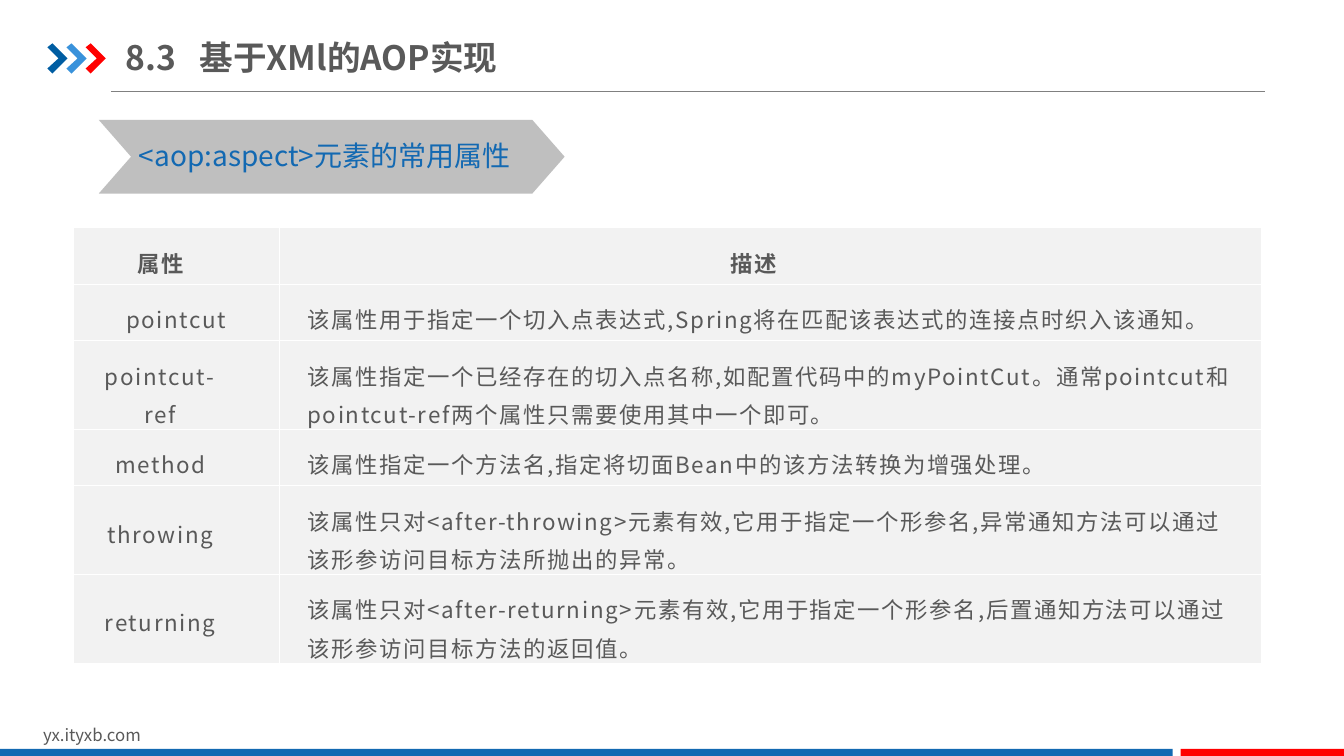
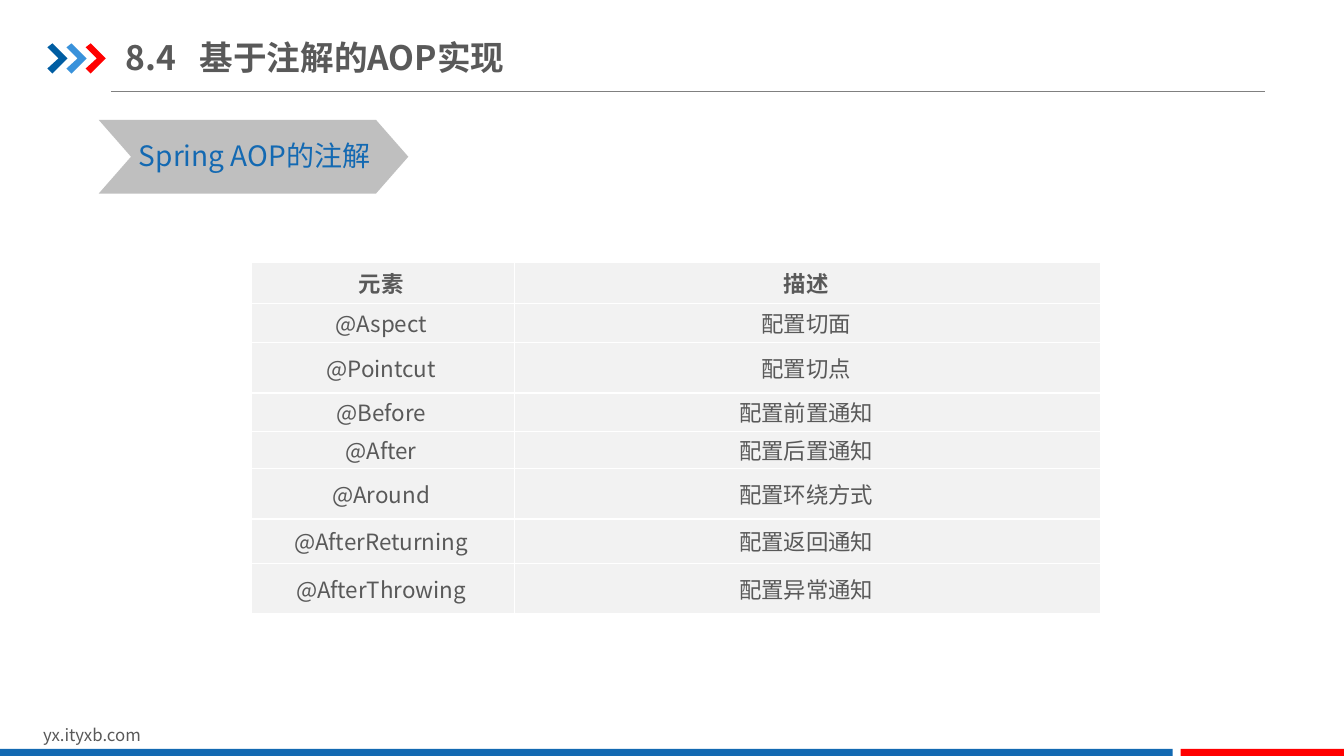
"""Build two slides on AOP attributes and annotations."""
import pptx
import pptx.dml.color
import pptx.enum.shapes
import pptx.enum.text
import pptx.oxml
import pptx.oxml.ns
import pptx.util
from pptx.util import Inches

RGBColor = pptx.dml.color.RGBColor
SHAPE = pptx.enum.shapes.MSO_SHAPE
ALIGN = pptx.enum.text.PP_ALIGN
MIDDLE = pptx.enum.text.MSO_ANCHOR.MIDDLE
NAVY = RGBColor(0x00, 0x5D, 0xA2)
SKY = RGBColor(0x39, 0x92, 0xDB)
BLUE = RGBColor(0x13, 0x69, 0xB2)
RED = RGBColor(0xFF, 0x00, 0x00)
TEXT = RGBColor(0x59, 0x59, 0x59)
RULE = RGBColor(0x80, 0x80, 0x80)
SILVER = RGBColor(0xBF, 0xBF, 0xBF)
PALE = RGBColor(0xF2, 0xF2, 0xF2)
FONT = "Noto Sans CJK SC"

ASPECT = [
    ("属性", "描述"),
    ("pointcut", "该属性用于指定一个切入点表达式,Spring将在匹配该表达式的连接点时织入该通知。"),
    ("pointcut-ref", "该属性指定一个已经存在的切入点名称,如配置代码中的myPointCut。"
     "通常pointcut和pointcut-ref两个属性只需要使用其中一个即可。"),
    ("method", "该属性指定一个方法名,指定将切面Bean中的该方法转换为增强处理。"),
    ("throwing", "该属性只对<after-throwing>元素有效,它用于指定一个形参名,"
     "异常通知方法可以通过该形参访问目标方法所抛出的异常。"),
    ("returning", "该属性只对<after-returning>元素有效,它用于指定一个形参名,"
     "后置通知方法可以通过该形参访问目标方法的返回值。"),
]
NOTES = [
    ("元素", "描述"),
    ("@Aspect", "配置切面"),
    ("@Pointcut", "配置切点"),
    ("@Before", "配置前置通知"),
    ("@After", "配置后置通知"),
    ("@Around", "配置环绕方式"),
    ("@AfterReturning", "配置返回通知"),
    ("@AfterThrowing", "配置异常通知"),
]


def add_xml(parent, body):
    root = f'<a:x {pptx.oxml.ns.nsdecls("a")}>{body}</a:x>'
    for child in list(pptx.oxml.parse_xml(root)):
        parent.append(child)


def style(para, size, color, bold=False, track=0):
    font = para.font
    font.size = pptx.util.Pt(size)
    font.bold = bold
    font.name = FONT
    font.color.rgb = color
    props = para._p.get_or_add_pPr().get_or_add_defRPr()
    add_xml(props, f'<a:ea typeface="{FONT}"/>')
    if track:
        props.set("spc", str(round(track * 100)))


def paint(shape, color):
    shape.shadow.inherit = False
    shape.fill.solid()
    shape.fill.fore_color.rgb = color
    shape.line.fill.background()


def add_block(slide, kind, box, color):
    shape = slide.shapes.add_shape(kind, *map(Inches, box))
    paint(shape, color)
    return shape


def add_text(slide, box, text, size, color, bold=False, tab=None):
    frame = slide.shapes.add_textbox(*map(Inches, box)).text_frame
    frame.word_wrap = True
    para = frame.paragraphs[0]
    para.text = text
    if tab:
        add_xml(para._p.get_or_add_pPr(),
                f'<a:tabLst><a:tab pos="{Inches(tab)}" algn="l"/></a:tabLst>')
    style(para, size, color, bold)
    return frame


def add_arrow(slide, left, color):
    points = [(5, 0), (20, 15), (5, 30), (0, 25), (11, 15)]
    outline = slide.shapes.build_freeform(0, 4, scale=Inches(0.01))
    outline.add_line_segments(points, close=True)
    paint(outline.convert_to_shape(Inches(left), Inches(0.43)), color)


def add_frame(slide, title):
    rule = slide.shapes.add_connector(
        pptx.enum.shapes.MSO_CONNECTOR.STRAIGHT,
        Inches(1.1), Inches(0.91), Inches(12.55), Inches(0.91))
    rule.line.color.rgb = RULE
    rule.line.width = pptx.util.Pt(0.5)
    add_xml(rule._element.spPr, "<a:effectLst/>")
    for step, color in enumerate((NAVY, SKY, RED)):
        add_arrow(slide, 0.47 + step * 0.19, color)
    add_text(slide, (0.33, 7.14, 3.18, 0.3), "yx.ityxb.com", 12, TEXT)
    for left, width, color in ((0, 11.63, BLUE), (11.71, 1.63, RED)):
        add_block(slide, SHAPE.RECTANGLE, (left, 7.43, width, 0.09), color)
    head = add_text(slide, (1.25, 0.29, 4.2, 0.55), title, 24, TEXT, True, 0.73)
    head.margin_left = head.margin_right = 0
    head.margin_top = head.margin_bottom = Inches(0.07)
    head.vertical_anchor = MIDDLE


def add_banner(slide, text, width, span):
    shape = add_block(slide, SHAPE.CHEVRON, (0.98, 1.19, width, 0.73), SILVER)
    shape.adjustments[0] = 0.438
    add_text(slide, (1.28, 1.33, span, 0.44), text, 20, BLUE)


def add_edges(cell):
    fill = '<a:solidFill><a:srgbClr val="FFFFFF"/></a:solidFill>'
    body = "".join(f'<a:ln{side} w="12700">{fill}</a:ln{side}>' for side in "LRTB")
    add_xml(cell._tc.get_or_add_tcPr(), body)


def fill_cell(cell, text, inset, bold, track, space, align):
    left, top, right = inset
    cell.margin_left, cell.margin_right = Inches(left), Inches(right)
    cell.margin_top = cell.margin_bottom = Inches(top)
    cell.vertical_anchor = MIDDLE
    add_edges(cell)
    cell.fill.solid()
    cell.fill.fore_color.rgb = PALE
    para = cell.text_frame.paragraphs[0]
    para.text = text
    para.alignment = align
    para.line_spacing = space
    style(para, 16, TEXT, bold, track)


def add_grid(slide, rows, spot, widths, heights, inset, pad,
             track=0, space=1.0, prose=False):
    left, top = spot
    table = slide.shapes.add_table(
        len(rows), len(widths), Inches(left), Inches(top),
        Inches(sum(widths)), Inches(sum(heights))).table
    table.first_row = table.horz_banding = False
    for col, width in zip(table.columns, widths):
        col.width = Inches(width)
    for row, (line, height) in enumerate(zip(rows, heights)):
        table.rows[row].height = Inches(height)
        for col, text in enumerate(line):
            flush = prose and row > 0 and col == 1
            side, edge = inset
            right = side if flush or text == "pointcut" else side + pad
            fill_cell(table.cell(row, col), text, (side, edge, right), row == 0,
                      track, space, ALIGN.LEFT if flush else ALIGN.CENTER)


def main():
    deck = pptx.Presentation()
    deck.slide_width, deck.slide_height = Inches(13.33), Inches(7.5)
    blank = deck.slide_layouts[6]

    slide = deck.slides.add_slide(blank)
    add_frame(slide, "8.3\t基于XMl的AOP实现")
    add_banner(slide, "<aop:aspect>元素的常用属性", 4.62, 4.03)
    add_grid(slide, ASPECT, (0.73, 2.26), (2.04, 9.74),
             (0.56, 0.56, 0.88, 0.56, 0.88, 0.88), (0.28, 0.12), 0.32,
             track=1.2, space=1.2, prose=True)

    slide = deck.slides.add_slide(blank)
    add_frame(slide, "8.4\t基于注解的AOP实现")
    add_banner(slide, "Spring AOP的注解", 3.07, 2.68)
    add_grid(slide, NOTES, (2.49, 2.6), (2.61, 5.82),
             (0.41, 0.39, 0.5, 0.38, 0.37, 0.5, 0.44, 0.5), (0.07, 0), 0.03)

    deck.save("out.pptx")


if __name__ == "__main__":
    main()
